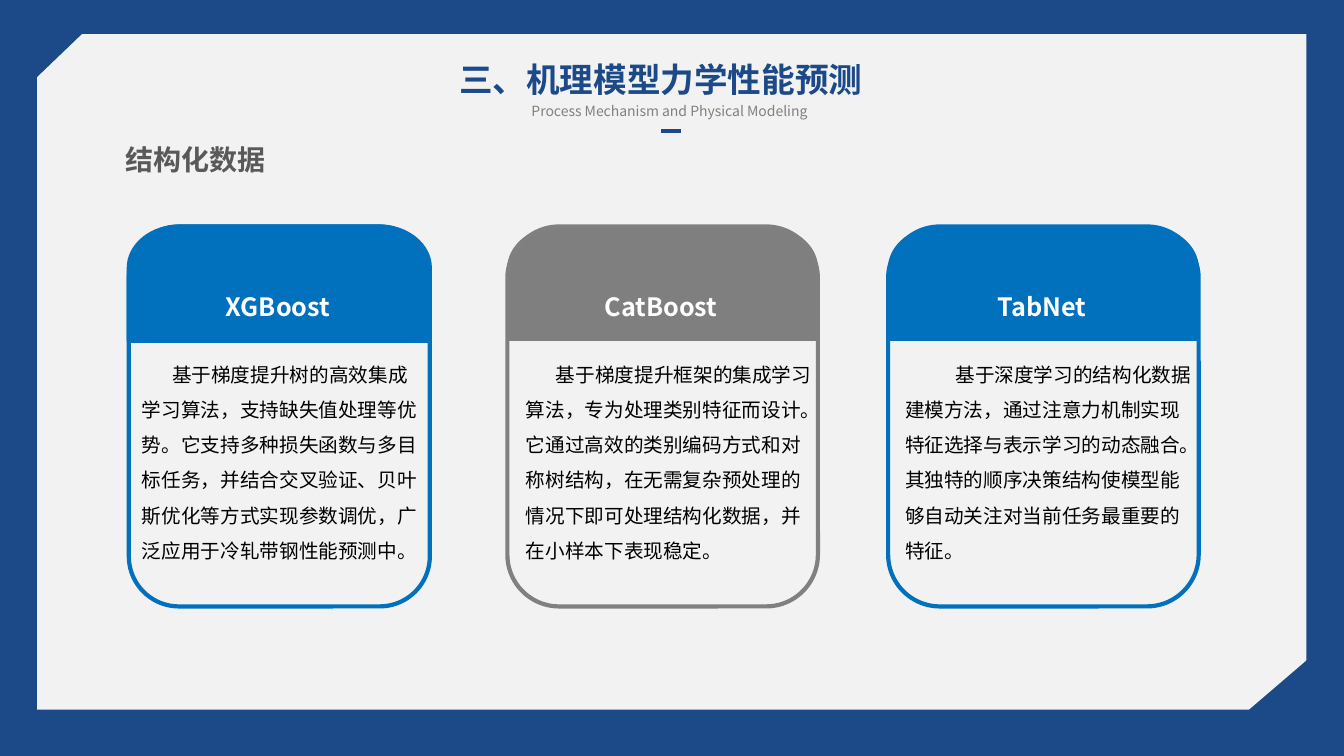
from dataclasses import dataclass
from math import cos, pi, sin

from lxml.etree import SubElement
from pptx import Presentation
from pptx.dml.color import RGBColor
from pptx.enum.shapes import MSO_CONNECTOR as Link, MSO_SHAPE as Kind
from pptx.enum.text import PP_ALIGN as Align
from pptx.oxml.ns import qn
from pptx.shapes.autoshape import Shape
from pptx.slide import Slide
from pptx.util import Pt


@dataclass(frozen=True)
class Theme:
    font: str = "Noto Sans CJK SC"
    navy: str = "1C4987"
    panel: str = "F2F2F2"
    blue: str = "0170BD"
    gray: str = "7F7F7F"
    soft: str = "808080"
    dark: str = "595959"
    black: str = "000000"
    white: str = "FFFFFF"
    title: float = 24
    topic: float = 20
    head: float = 18
    body: float = 14
    sub: float = 10
    edge: float = 3


@dataclass(frozen=True)
class Box:
    left: float
    top: float
    width: float
    height: float

    def pts(self) -> list[Pt]:
        """Return the four lengths in points."""
        return [Pt(v) for v in (self.left, self.top, self.width, self.height)]


@dataclass(frozen=True)
class Card:
    name: str
    text: str
    left: float
    width: float
    inset: float
    wide: float
    indent: float
    fill: str
    edge: str
    rim: float = 0


LOOK = Theme()
TOP, TALL, HEAD = 161.8, 271.4, 81.6
CARDS = [
    Card("XGBoost", "基于梯度提升树的高效集成学习算法，支持缺失值处理等优势。它支持多种损失函数与多目标任务，并结合交叉验证、贝叶斯优化等方式实现参数调优，广泛应用于冷轧带钢性能预测中。",
         92, 215, 2.3, 212.4, 21.5, LOOK.blue, LOOK.blue, LOOK.edge),
    Card("CatBoost", "基于梯度提升框架的集成学习算法，专为处理类别特征而设计。它通过高效的类别编码方式和对称树结构，在无需复杂预处理的情况下即可处理结构化数据，并在小样本下表现稳定。",
         362.4, 221.8, 6.2, 219, 21.5, LOOK.gray, LOOK.soft),
    Card("TabNet", "基于深度学习的结构化数据建模方法，通过注意力机制实现特征选择与表示学习的动态融合。其独特的顺序决策结构使模型能够自动关注对当前任务最重要的特征。",
         634.4, 221.8, 5, 219, 36, LOOK.blue, LOOK.blue),
]


def paint(shape: Shape, fill: str = "", line: str = "", width: float = 1) -> None:
    """Set fill and outline, leaving out whichever is empty."""
    shape.shadow.inherit = False
    if fill:
        shape.fill.solid()
        shape.fill.fore_color.rgb = RGBColor.from_string(fill)
    else:
        shape.fill.background()
    if line:
        shape.line.color.rgb = RGBColor.from_string(line)
        shape.line.width = Pt(width)
    else:
        shape.line.fill.background()


def block(slide: Slide, box: Box, kind: Kind = Kind.RECTANGLE, turn: float = 0,
          **style) -> None:
    """Draw a preset shape."""
    shape = slide.shapes.add_shape(kind, *box.pts())
    shape.rotation = turn
    paint(shape, **style)


def write(slide: Slide, box: Box, text: str, size: float, color: str,
          bold: bool = False, align: Align = Align.CENTER,
          lead: float = 1, indent: float = 0) -> None:
    """Write one paragraph in a text box."""
    frame = slide.shapes.add_textbox(*box.pts()).text_frame
    frame.word_wrap = True
    para = frame.paragraphs[0]
    para.alignment, para.line_spacing = align, lead
    if indent:
        para._p.get_or_add_pPr().set("indent", str(Pt(indent)))
    run = para.add_run()
    run.text = text
    font = run.font
    font.name, font.size, font.bold = LOOK.font, Pt(size), bold
    font.color.rgb = RGBColor.from_string(color)
    SubElement(run._r.get_or_add_rPr(), qn("a:ea"), typeface=LOOK.font)


def crown(slide: Slide, card: Card) -> None:
    """Draw the card head with its two rounded upper corners."""
    wide, high, steps = 36.5, 29.5, 16
    left, right, base = card.left, card.left + card.width, TOP + HEAD
    turns = [pi / 2 * i / steps for i in range(steps + 1)]
    arc = [(wide * (1 - cos(t)), TOP + high * (1 - sin(t))) for t in turns]
    path = [(left + x, y) for x, y in arc]
    path += [(right - x, y) for x, y in reversed(arc)]
    path += [(right, base), (left, base)]
    dots = [(Pt(x), Pt(y)) for x, y in path]
    form = slide.shapes.build_freeform(*dots[0], scale=1.0)
    form.add_line_segments(dots[1:], close=True)
    paint(form.convert_to_shape(), card.fill, card.fill if card.rim else "", card.rim)


def draw(slide: Slide, card: Card) -> None:
    """Draw one model card."""
    crown(slide, card)
    block(slide, Box(card.left, TOP, card.width, TALL), Kind.ROUNDED_RECTANGLE,
          line=card.edge, width=LOOK.edge)
    write(slide, Box(card.left + card.inset, 247, card.wide, 157), card.text,
          LOOK.body, LOOK.black, align=Align.LEFT, lead=1.5, indent=card.indent)
    write(slide, Box(card.left + 26, 200, card.width - 54, 31), card.name,
          LOOK.head, LOOK.white, bold=True, lead=1.2)


def frame(slide: Slide) -> None:
    """Draw the backdrop with its two cut corners."""
    back = slide.background.fill
    back.solid()
    back.fore_color.rgb = RGBColor.from_string(LOOK.navy)
    block(slide, Box(26.6, 24.5, 906.5, 482.4), fill=LOOK.panel)
    for box, turn in ((Box(-8.6, -29.5, 57.6, 100), 46.2),
                      (Box(901.4, 455.8, 61.2, 116), 49.4)):
        block(slide, box, turn=turn, fill=LOOK.navy, line=LOOK.navy)


def titles(slide: Slide) -> None:
    """Write the headings and the short rule below them."""
    write(slide, Box(309.6, 38.2, 324.7, 124), "三、机理模型力学性能预测",
          LOOK.title, LOOK.navy, bold=True)
    write(slide, Box(309.6, 64, 337, 23), "Process Mechanism and Physical Modeling",
          LOOK.sub, LOOK.soft, lead=1.5)
    rule = slide.shapes.add_connector(Link.STRAIGHT, Pt(472.3), Pt(93.6), Pt(486.7), Pt(93.6))
    rule.line.color.rgb = RGBColor.from_string(LOOK.navy)
    rule.line.width = Pt(LOOK.edge)
    SubElement(rule._element.spPr, qn("a:effectLst"))
    write(slide, Box(72.7, 93.6, 134, 34), "结构化数据",
          LOOK.topic, LOOK.dark, bold=True, lead=1.2)


def main() -> None:
    """Build and save the slide."""
    deck = Presentation()
    deck.slide_width, deck.slide_height = Pt(960), Pt(540)
    slide = deck.slides.add_slide(deck.slide_layouts[6])
    frame(slide)
    for card in CARDS:
        draw(slide, card)
    titles(slide)
    deck.save("out.pptx")


if __name__ == "__main__":
    main()
